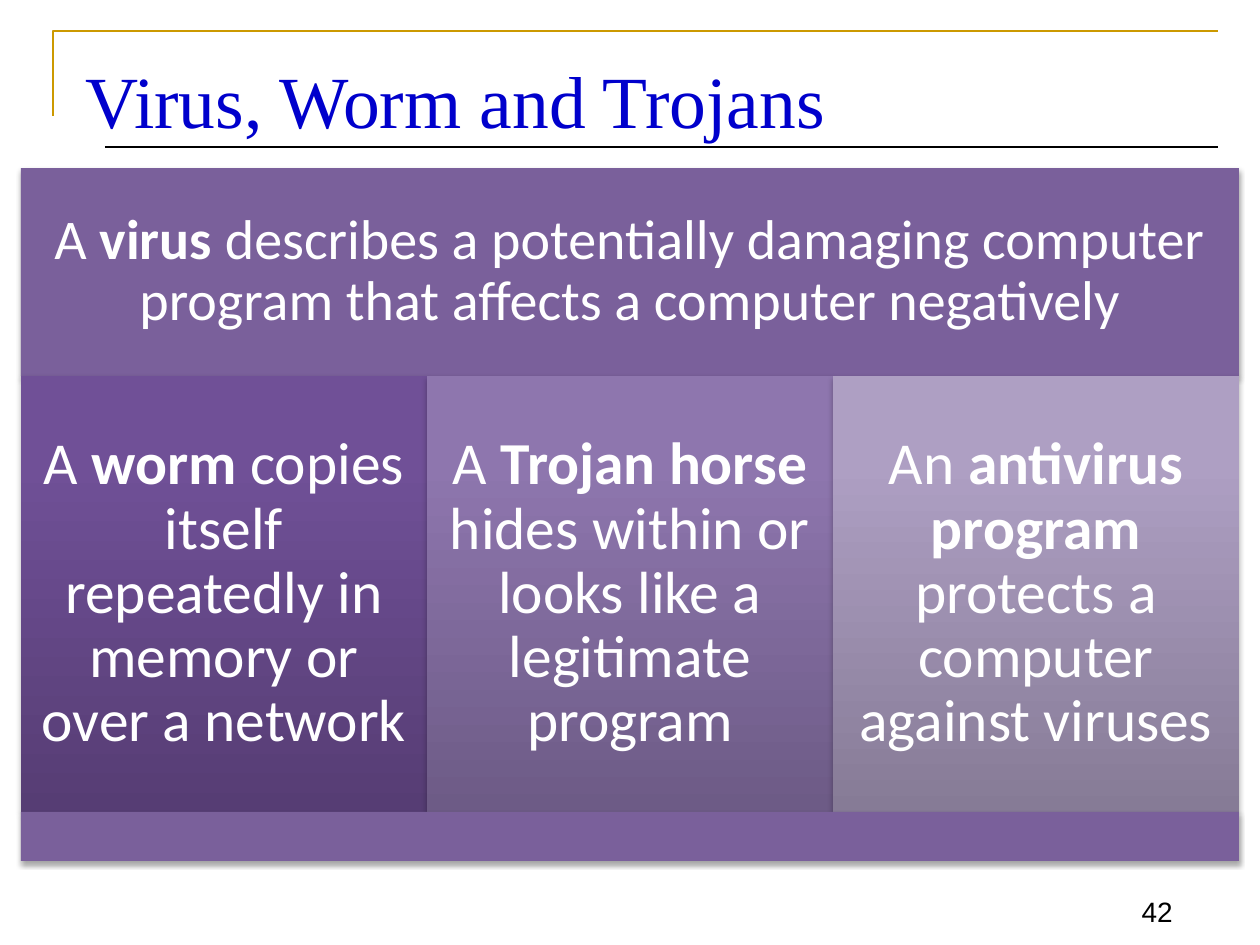
from copy import deepcopy
from dataclasses import dataclass

from pptx import Presentation
from pptx.dml.color import RGBColor as RGB
from pptx.enum.shapes import MSO_CONNECTOR as CONN, MSO_SHAPE as SHAPE
from pptx.enum.text import MSO_ANCHOR as ANCHOR, PP_ALIGN as ALIGN
from pptx.oxml import parse_xml
from pptx.oxml.ns import nsdecls, qn
from pptx.util import Emu, Pt


@dataclass(frozen=True)
class Theme:
    """Colours, fonts and type sizes of the slide."""
    gold: str = "CC9900"
    black: str = "000000"
    white: str = "FFFFFF"
    title: str = "0000CC"
    band: str = "7A609B"
    title_font: str = "Times New Roman"
    body_font: str = "Calibri"
    number_font: str = "Arial"
    title_size: int = 42
    band_size: int = 32
    column_size: int = 34
    number_size: int = 16


T = Theme()
STOPS = (0, 0.8, 1)
COLUMNS = (
    (("563D74", "705097", "704F99"),
     ("A ", "worm", " copies itself repeatedly in memory or over a network")),
    (("6D5B86", "8E76AE", "8E75B0"),
     ("A ", "Trojan horse", " hides within or looks like a legitimate program")),
    (("867B96", "AE9FC3", "AE9FC4"),
     ("An ", "antivirus program", " protects a computer against viruses")),
)


def px(n):
    """Turn pixels into EMU."""
    return Emu(round(n * 914400 / 126))


def add_run(p, text, font, size, color, bold=False):
    """Add one styled run to a paragraph."""
    r = p.add_run()
    r.text = text
    r.font.name, r.font.size, r.font.bold = font, Pt(size), bold
    r.font.color.rgb = RGB.from_string(color)


def add_label(slide, box, text, font, size, color, anchor, align):
    """Add a text box with a single run."""
    tf = slide.shapes.add_textbox(*map(px, box)).text_frame
    tf.word_wrap = True
    tf.vertical_anchor = anchor
    p = tf.paragraphs[0]
    p.alignment = align
    add_run(p, text, font, size, color)


def add_frame(slide):
    """Draw the gold corner and the rule under the title."""
    builder = slide.shapes.build_freeform(px(53), px(116))
    builder.add_line_segments([(px(53), px(31)), (px(1218), px(31))], close=False)
    s = builder.convert_to_shape()
    s.shadow.inherit = False
    s.fill.background()
    s.line.color.rgb = RGB.from_string(T.gold)
    s.line.width = Pt(1.5)
    rule = slide.shapes.add_connector(CONN.STRAIGHT, px(105), px(147), px(1218), px(147))
    rule.line.color.rgb = RGB.from_string(T.black)
    rule.line.width = Pt(0.75)
    rule._element.spPr.append(parse_xml(f"<a:effectLst {nsdecls('a')}/>"))


def fill_gradient(s, colors):
    """Fill a shape with three stops running upwards."""
    s.fill.gradient()
    s.fill.gradient_angle = 90
    stops = s._element.spPr.find(".//" + qn("a:gsLst"))
    stops.append(deepcopy(stops[0]))
    for stop, position, color in zip(s.fill.gradient_stops, STOPS, colors):
        stop.position = position
        stop.color.rgb = RGB.from_string(color)


def add_panel(slide, box, colors):
    """Add a borderless rectangle with a soft shadow below it."""
    s = slide.shapes.add_shape(SHAPE.RECTANGLE, *map(px, box))
    if len(colors) == 1:
        s.fill.solid()
        s.fill.fore_color.rgb = RGB.from_string(colors[0])
    else:
        fill_gradient(s, colors)
    s.line.fill.background()
    s.shadow.inherit = False
    s._element.spPr.find(qn("a:effectLst")).append(parse_xml(
        f'<a:outerShdw {nsdecls("a")} blurRad="40000" dist="23000" dir="5400000"'
        f' rotWithShape="0"><a:srgbClr val="{T.black}"><a:alpha val="35000"/>'
        '</a:srgbClr></a:outerShdw>'))
    return s


def write_panel(s, parts, size, inset):
    """Write centred text whose middle part is bold."""
    tf = s.text_frame
    tf.word_wrap = True
    tf.vertical_anchor = ANCHOR.MIDDLE
    tf.margin_left = tf.margin_right = tf.margin_top = tf.margin_bottom = px(inset)
    p = tf.paragraphs[0]
    p.alignment = ALIGN.CENTER
    p.line_spacing = 0.9
    for i, text in enumerate(parts):
        add_run(p, text, T.body_font, size, T.white, bold=i == 1)


def main():
    """Build the slide and save it."""
    prs = Presentation()
    prs.slide_width, prs.slide_height = px(1260), px(945)
    slide = prs.slides.add_slide(prs.slide_layouts[6])
    add_frame(slide)
    add_label(slide, (73, 42, 1144, 115), "Virus, Worm and Trojans", T.title_font,
              T.title_size, T.title, ANCHOR.MIDDLE, ALIGN.LEFT)
    add_label(slide, (1102, 872, 83, 62), "42", T.number_font,
              T.number_size, T.black, ANCHOR.BOTTOM, ALIGN.RIGHT)

    left, width = 21, 1218
    band = add_panel(slide, (left, 168, width, 208), (T.band,))
    write_panel(band, ("A ", "virus", " describes a potentially damaging computer "
                       "program that affects a computer negatively"), T.band_size, 16)
    step = width // len(COLUMNS)
    for i, (colors, parts) in enumerate(COLUMNS):
        column = add_panel(slide, (left + i * step, 376, step, 436), colors)
        write_panel(column, parts, T.column_size, 17)
    add_panel(slide, (left, 812, width, 49), (T.band,))
    prs.save("out.pptx")


if __name__ == "__main__":
    main()
